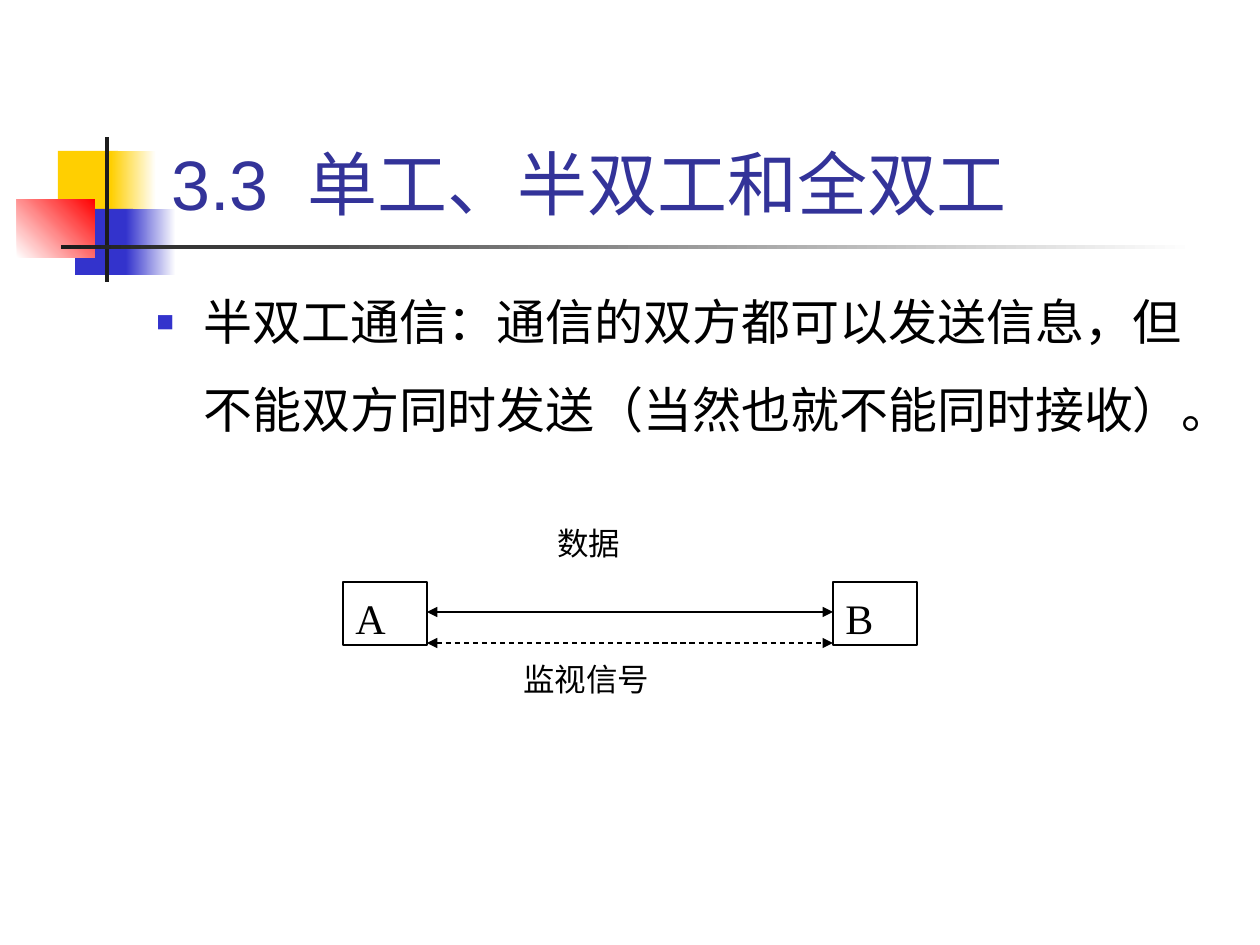
import pptx
import pptx.util
import pptx.dml.color
import pptx.enum.dml
import pptx.enum.shapes
import pptx.enum.text
import pptx.oxml
import lxml.etree

SCALE = 914400 / 126
CJK_FONT = "Noto Sans CJK SC"
RECTANGLE = pptx.enum.shapes.MSO_SHAPE.RECTANGLE
color = pptx.dml.color.RGBColor.from_string


def px(*lengths):
    return [pptx.util.Emu(round(length * SCALE)) for length in lengths]


def write(shape, text, size, font_name, hex_color):
    frame = shape.text_frame
    frame.word_wrap = True
    frame.text = text
    paragraph = frame.paragraphs[0]
    paragraph.alignment = pptx.enum.text.PP_ALIGN.LEFT
    paragraph.font.size = pptx.util.Pt(size)
    paragraph.font.name = font_name
    paragraph.font.color.rgb = color(hex_color)
    properties = paragraph._p.get_or_add_pPr().find(pptx.oxml.ns.qn("a:defRPr"))
    lxml.etree.SubElement(properties, pptx.oxml.ns.qn("a:ea"), typeface=CJK_FONT)
    return paragraph


presentation = pptx.Presentation()
presentation.slide_width, presentation.slide_height = px(1260, 945)
slide = presentation.slides.add_slide(presentation.slide_layouts[5])
shapes = slide.shapes

decorations = [
    ((58, 151, 60, 66), ["FFCF01"], 0),
    ((111, 151, 45, 66), ["FFCF01", "FFFFFF"], 0),
    ((75, 209, 58, 66), ["3333CC"], 0),
    ((126, 209, 50, 66), ["3333CC", "FFFFFF"], 0),
    ((17, 199, 78, 59), ["FFFFFF", "FF0000"], 45),
    ((105, 137, 4, 145), ["1C1C1C"], 0),
    ((61, 245, 1134, 4), ["1C1C1C", "FFFFFF"], 0),
]
for box, colors, angle in decorations:
    shape = shapes.add_shape(RECTANGLE, *px(*box))
    shape.shadow.inherit = False
    shape.line.fill.background()
    if len(colors) == 1:
        shape.fill.solid()
        shape.fill.fore_color.rgb = color(colors[0])
    else:
        shape.fill.gradient()
        shape.fill.gradient_angle = angle
        for stop, hex_color in zip(shape.fill.gradient_stops, colors):
            stop.color.rgb = color(hex_color)

title = shapes.title
title.left, title.top, title.width, title.height = px(159, 29, 1073, 202)
title.text_frame.vertical_anchor = pptx.enum.text.MSO_ANCHOR.BOTTOM
write(title, "3.3  单工、半双工和全双工", 40, "Arial", "333399")

body = shapes.add_textbox(*px(144, 256, 1071, 556))
paragraph = write(
    body,
    "半双工通信：通信的双方都可以发送信息，但不能双方同时发送（当然也就不能同时接收）。",
    28, CJK_FONT, "000000",
)
paragraph.line_spacing = 1.5
paragraph.space_before = pptx.util.Pt(7)
properties = paragraph._p.get_or_add_pPr()
indent = px(47)[0]
properties.set("marL", str(indent))
properties.set("indent", str(-indent))
bullet = pptx.oxml.parse_xml(
    '<a:bullet xmlns:a="http://schemas.openxmlformats.org/drawingml/2006/main">'
    '<a:buClr><a:srgbClr val="3333CC"/></a:buClr><a:buSzPct val="60000"/>'
    '<a:buFont typeface="Arial"/><a:buChar char="■"/></a:bullet>'
)
default_font = properties.find(pptx.oxml.ns.qn("a:defRPr"))
for element in list(bullet):
    default_font.addprevious(element)

for letter, left in (("A", 343), ("B", 833)):
    station = shapes.add_shape(RECTANGLE, *px(left, 582, 84, 63))
    station.shadow.inherit = False
    station.fill.background()
    station.line.color.rgb = color("000000")
    station.line.width = pptx.util.Pt(0.75)
    station.text_frame.vertical_anchor = pptx.enum.text.MSO_ANCHOR.TOP
    station.text_frame.margin_top, station.text_frame.margin_bottom = px(11, 0)
    write(station, letter, 24, "Times New Roman", "000000")

for y, dash in ((612, None), (643, pptx.enum.dml.MSO_LINE.DASH)):
    connector = shapes.add_connector(
        pptx.enum.shapes.MSO_CONNECTOR.STRAIGHT, *px(427, y, 833, y)
    )
    connector.line.color.rgb = color("000000")
    connector.line.width = pptx.util.Pt(0.75)
    connector.line.dash_style = dash
    line = connector.line._get_or_add_ln()
    for end in ("a:headEnd", "a:tailEnd"):
        lxml.etree.SubElement(line, pptx.oxml.ns.qn(end), type="triangle")
    lxml.etree.SubElement(connector._element.spPr, pptx.oxml.ns.qn("a:effectLst"))

for text, box in (("数据", (545, 518, 169, 50)), ("监视信号", (511, 654, 253, 50))):
    label = shapes.add_textbox(*px(*box))
    write(label, text, 18, "Times New Roman", "000000")

presentation.save("out.pptx")
